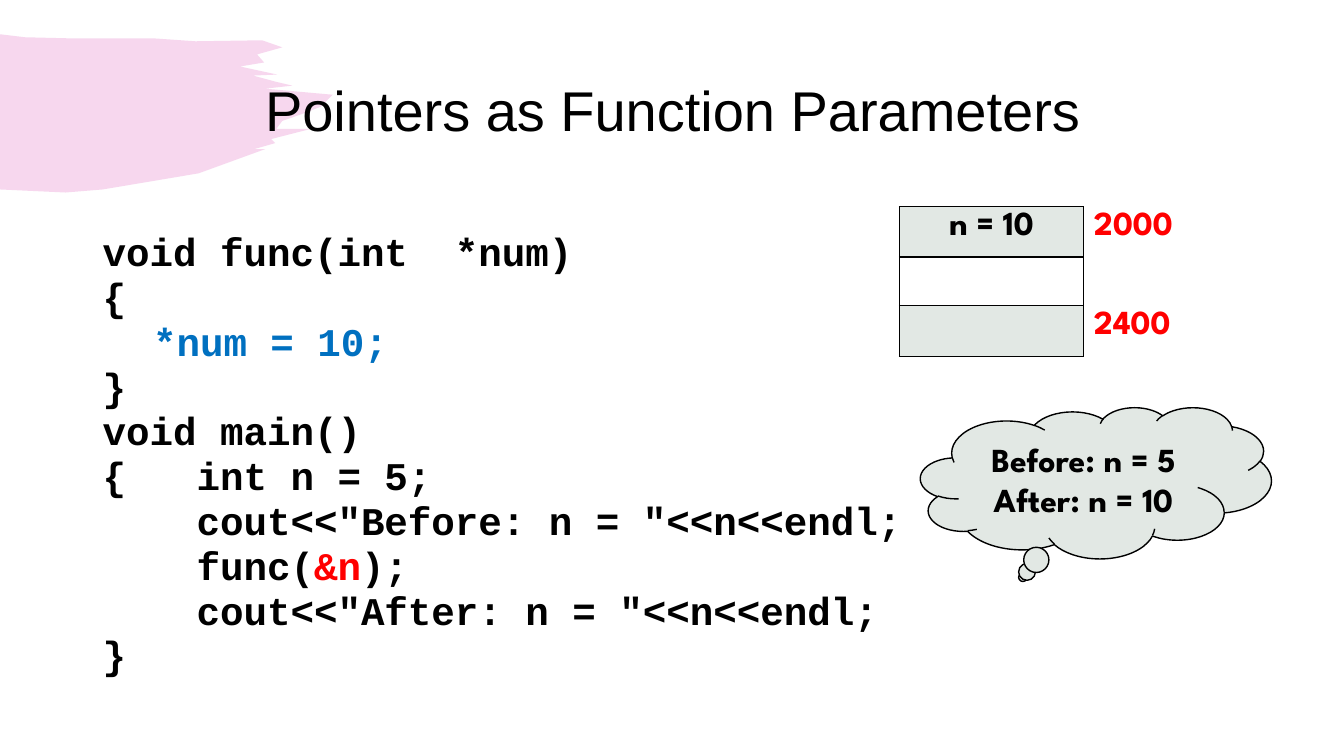
"""Build a slide on passing pointers as function parameters."""
import dataclasses
import typing

import lxml.etree
import pptx
import pptx.dml.color
import pptx.enum.shapes
import pptx.enum.text
import pptx.oxml.ns
import pptx.util

Inches = pptx.util.Inches
Pt = pptx.util.Pt
RGBColor = pptx.dml.color.RGBColor
ALIGN = pptx.enum.text.PP_ALIGN
ANCHOR = pptx.enum.text.MSO_ANCHOR
qn = pptx.oxml.ns.qn

BLACK = RGBColor(0x00, 0x00, 0x00)
RED = RGBColor(0xFF, 0x00, 0x00)
BLUE = RGBColor(0x00, 0x70, 0xC0)
SAGE = RGBColor(0xE2, 0xE8, 0xE4)
PINK = RGBColor(0xD7, 0x39, 0xAE)

TITLE_FONT = {"name": "Arial", "size": Pt(40), "bold": False}
CODE_FONT = {"name": "Courier New", "size": Pt(28), "bold": True}
LABEL_FONT = {"name": "League Spartan", "size": Pt(24), "bold": True}
NO_STYLE = "{2D5ABB26-0587-4C30-8999-92F81FD0307C}"


@dataclasses.dataclass(frozen=True)
class Span:
    text: str
    color: RGBColor = BLACK


@dataclasses.dataclass(frozen=True)
class TextBlock:
    left: float
    top: float
    width: float
    height: float
    lines: list[list[Span]]
    font: dict[str, typing.Any]
    paragraph: dict[str, typing.Any]
    frame: dict[str, typing.Any]
    gap: float = 0


@dataclasses.dataclass(frozen=True)
class MemoryCell:
    value: str
    address: str
    fill: RGBColor | None


TITLE = TextBlock(
    0.92, 0.4, 11.5, 1.45, [[Span("Pointers as Function Parameters")]], TITLE_FONT,
    {"alignment": ALIGN.CENTER, "line_spacing": 0.9}, {"vertical_anchor": ANCHOR.MIDDLE})

CODE = TextBlock(
    0.92, 2.2, 11.5, 4.55,
    [
        [Span("void func(int  *num)")],
        [Span("{")],
        [Span("\t"), Span("*num = 10;", BLUE)],
        [Span("}")],
        [Span("void main()")],
        [Span("{   int n = 5;")],
        [Span('    cout<<"Before: n = "<<n<<endl;')],
        [Span("    func("), Span("&n", RED), Span(");")],
        [Span('    cout<<"After: n = "<<n<<endl;')],
        [Span("}")],
    ],
    CODE_FONT, {"alignment": ALIGN.LEFT, "line_spacing": 0.9},
    {"vertical_anchor": ANCHOR.TOP, "margin_top": Inches(0.11)}, 1.75)

MEMORY = [
    MemoryCell("n = 10", "2000", SAGE),
    MemoryCell("", "", None),
    MemoryCell("", "2400", SAGE),
]

BRUSH_OUTLINE = [
    (0, 0.34), (0.25, 0.37), (0.66, 0.38), (1.51, 0.38), (1.94, 0.41), (2.6, 0.4),
    (2.8, 0.47), (2.55, 0.54), (2.62, 0.62), (2.38, 0.66), (2.75, 0.74), (2.51, 0.75),
    (2.73, 0.81), (2.9, 0.85), (2.63, 0.88), (3.3, 0.94), (3.18, 1.06), (3, 1.13),
    (2.8, 1.2), (2.74, 1.28), (3.08, 1.28), (2.69, 1.38), (2.73, 1.42), (2.52, 1.48),
    (2.63, 1.48), (1.97, 1.72), (1.02, 1.88), (0.65, 1.91), (0, 1.88),
]


def apply_format(target: typing.Any, values: dict[str, typing.Any]) -> None:
    for attribute, value in values.items():
        setattr(target, attribute, value)


def write_lines(frame, lines: list[list[Span]], font: dict, paragraph_format: dict, gap: float = 0) -> None:
    for index, line in enumerate(lines):
        paragraph = frame.add_paragraph() if index else frame.paragraphs[0]
        apply_format(paragraph, paragraph_format)
        if index and gap:
            paragraph.space_before = Pt(gap)
        for span in line:
            run = paragraph.add_run()
            run.text = span.text
            apply_format(run.font, font)
            run.font.color.rgb = span.color


def draw_text(slide, block: TextBlock) -> None:
    edges = map(Inches, (block.left, block.top, block.width, block.height))
    frame = slide.shapes.add_textbox(*edges).text_frame
    frame.word_wrap = True
    apply_format(frame, block.frame)
    write_lines(frame, block.lines, block.font, block.paragraph, block.gap)


def draw_brush(slide) -> None:
    points = [(Inches(x), Inches(y)) for x, y in BRUSH_OUTLINE]
    builder = slide.shapes.build_freeform(*points[0])
    builder.add_line_segments(points[1:], close=True)
    brush = builder.convert_to_shape()
    brush.shadow.inherit = False
    brush.fill.solid()
    brush.fill.fore_color.rgb = PINK
    brush.line.fill.background()
    color = next(brush._element.spPr.iter(qn("a:srgbClr")))
    lxml.etree.SubElement(color, qn("a:alpha")).set("val", "20000")


def set_borders(cell, sides: str) -> None:
    properties = cell._tc.get_or_add_tcPr()
    for index, side in enumerate("LRTB"):
        border = lxml.etree.Element(qn(f"a:ln{side}"), w=str(int(Pt(1))))
        if side in sides:
            fill = lxml.etree.SubElement(border, qn("a:solidFill"))
            lxml.etree.SubElement(fill, qn("a:srgbClr")).set("val", str(BLACK))
        else:
            lxml.etree.SubElement(border, qn("a:noFill"))
        properties.insert(index, border)


def draw_memory(slide) -> None:
    table = slide.shapes.add_table(
        len(MEMORY), 2, Inches(8.92), Inches(2.05), Inches(3.48), Inches(1.45)).table
    table._tbl.tblPr.find(qn("a:tableStyleId")).text = NO_STYLE
    apply_format(table, {"first_row": False, "horz_banding": False})
    for column, width in zip(table.columns, (1.83, 1.64)):
        column.width = Inches(width)
    for row, memory in enumerate(MEMORY):
        parts = (
            (Span(memory.value), memory.fill, ALIGN.CENTER, "LRTB"),
            (Span(memory.address, RED), None, ALIGN.LEFT, "L"),
        )
        for column, (span, fill, alignment, sides) in enumerate(parts):
            cell = table.cell(row, column)
            if fill is None:
                cell.fill.background()
            else:
                cell.fill.solid()
                cell.fill.fore_color.rgb = fill
            set_borders(cell, sides)
            if span.text:
                write_lines(cell.text_frame, [[span]], LABEL_FONT, {"alignment": alignment})


def draw_output(slide) -> None:
    cloud = slide.shapes.add_shape(
        pptx.enum.shapes.MSO_SHAPE.CLOUD_CALLOUT, Inches(9.13), Inches(4.04), Inches(3.48), Inches(1.5))
    cloud.shadow.inherit = False
    cloud.fill.solid()
    cloud.fill.fore_color.rgb = SAGE
    cloud.line.color.rgb = BLACK
    cloud.line.width = Pt(1)
    apply_format(cloud.text_frame, {"word_wrap": True, "vertical_anchor": ANCHOR.MIDDLE})
    printed = [[Span("Before: n = 5")], [Span("After: n = 10")]]
    write_lines(cloud.text_frame, printed, LABEL_FONT, {"alignment": ALIGN.CENTER})


def main() -> None:
    deck = pptx.Presentation()
    deck.slide_width, deck.slide_height = Inches(13.33), Inches(7.5)
    slide = deck.slides.add_slide(deck.slide_layouts[6])
    draw_brush(slide)
    for block in (TITLE, CODE):
        draw_text(slide, block)
    draw_memory(slide)
    draw_output(slide)
    deck.save("out.pptx")


if __name__ == "__main__":
    main()
